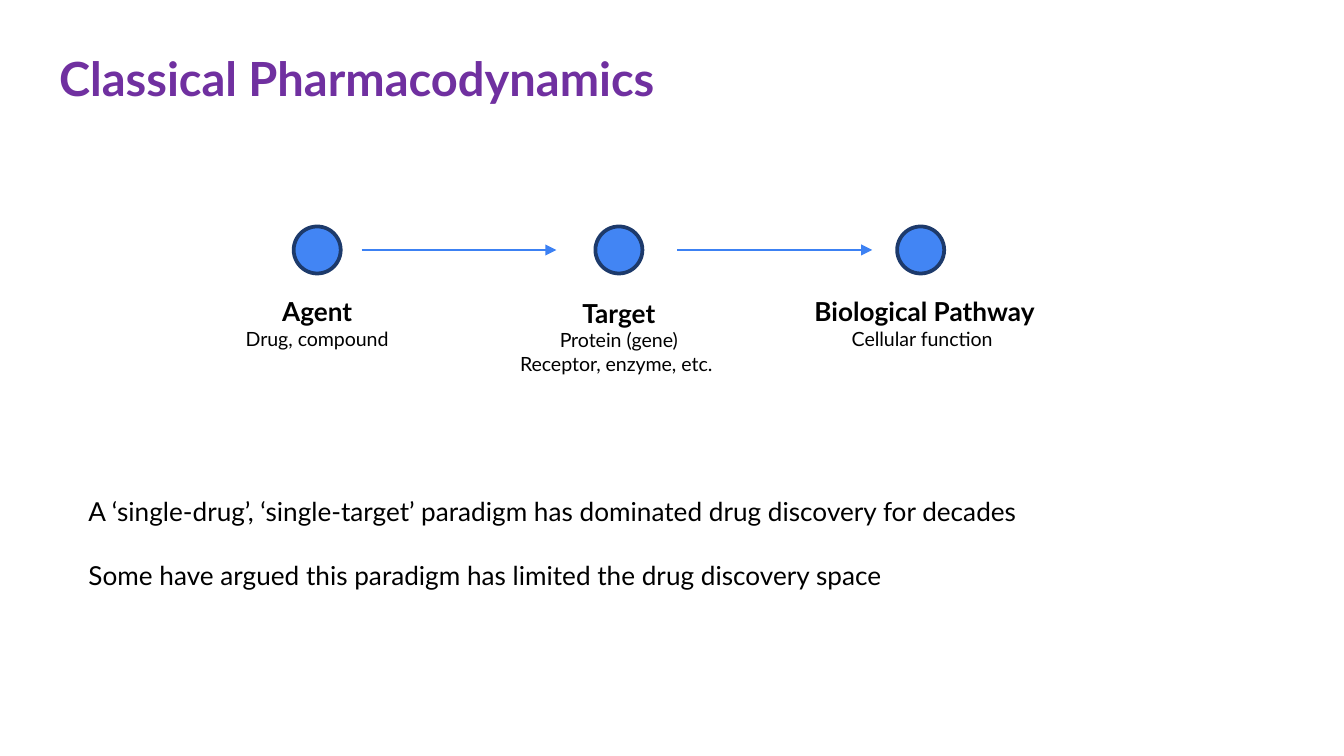
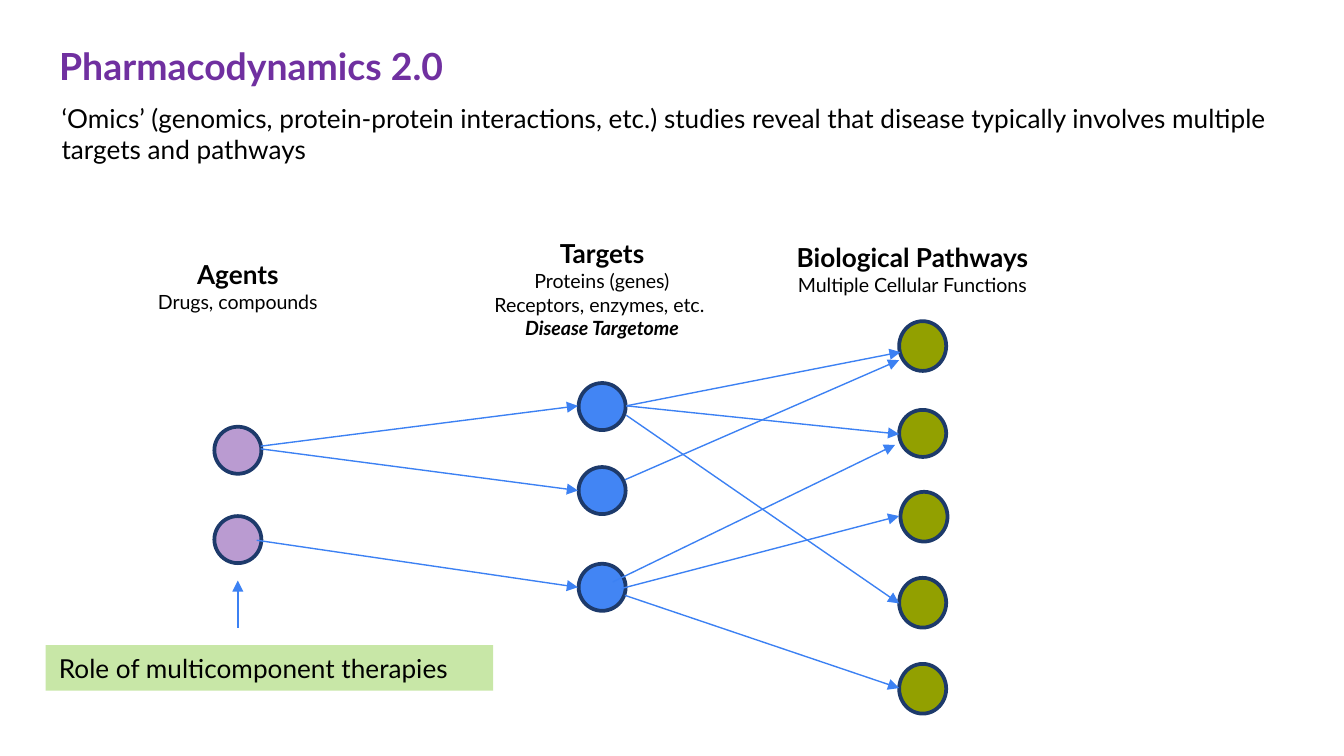
import pptx
import pptx.dml.color
import pptx.enum.shapes
import pptx.enum.text
import pptx.oxml
import pptx.oxml.ns
import pptx.util

COLOURS = {"title": "7030A0", "text": "000000", "arrow": "3C81F3", "outline": "1D3A6B",
           "agent": "7030A0", "target": "4285F4", "pathway": "92A000", "callout": "92D050"}
OPACITY = {"agent": 48, "callout": 50}  # percent, for the see-through fills
FONT = "Lato"
HEADING, DETAIL = 14, 10.5
SHAPES = pptx.enum.shapes.MSO_SHAPE
LEFT, CENTER = pptx.enum.text.PP_ALIGN.LEFT, pptx.enum.text.PP_ALIGN.CENTER

deck = pptx.Presentation()
deck.slide_width = pptx.util.Inches(10)
deck.slide_height = deck.slide_width * 9 // 16
CELL = deck.slide_width // 100  # square grid, 100 columns across the slide
DISC = 3.5                      # disc diameter in cells
MIDLINE = 18.6                  # row of the single-target chain


def fill_shape(slide, preset, box, colour):
    shape = slide.shapes.add_shape(preset, *[round(v * CELL) for v in box])
    shape.shadow.inherit = False
    shape.fill.solid()
    shape.fill.fore_color.rgb = pptx.dml.color.RGBColor.from_string(COLOURS[colour])
    if colour in OPACITY:
        tint = shape.fill._xPr.find(".//" + pptx.oxml.ns.qn("a:srgbClr"))
        alpha = pptx.oxml.parse_xml(f'<a:alpha {pptx.oxml.ns.nsdecls("a")} val="{OPACITY[colour] * 1000}"/>')
        tint.append(alpha)
    return shape


def write(frame, lines, align=LEFT, colour="text", gap=0):
    """Each line is (text, size, style); style holds b for bold and i for italic."""
    frame.word_wrap = True
    for number, (text, size, style) in enumerate(lines):
        paragraph = frame.paragraphs[0] if number == 0 else frame.add_paragraph()
        paragraph.text = text
        paragraph.alignment = align
        paragraph.space_before = pptx.util.Pt(gap if number else 0)
        font = paragraph.font
        font.name, font.size = FONT, pptx.util.Pt(size)
        font.bold, font.italic = "b" in style, "i" in style
        font.color.rgb = pptx.dml.color.RGBColor.from_string(COLOURS[colour])


# Content: discs are (role, left, top, height), arrows are (x1, y1, x2, y2),
# labels are (box, heading, details), statements are (box, texts)
classical = {
    "title": ("Classical Pharmacodynamics", 25.2, 2.7),
    "discs": [("target", 21.85 + 22.45 * n, MIDLINE - DISC / 2, DISC) for n in range(3)],
    "arrows": [(x, MIDLINE, x + 14.5, MIDLINE) for x in (26.9, 50.4)],
    "labels": [
        ((16.7, 21.5, 13.8, 5.1), "Agent", [("Drug, compound", DETAIL, "")]),
        ((37.4, 21.6, 17.3, 6.9), "Target",
         [("Protein (gene)", DETAIL, ""), ("Receptor, enzyme, etc. ", DETAIL, "")]),
        ((59.2, 21.5, 19.2, 5.1), "Biological Pathway", [("Cellular function ", DETAIL, "")]),
    ],
    "statements": ((5.6, 36.4, 88.8, 10.4), [
        "A ‘single-drug’, ‘single-target’ paradigm has dominated drug discovery for decades",
        "Some have argued this paradigm has limited the drug discovery space"]),
}
network = {
    "title": ("Pharmacodynamics 2.0", 20, 2.2),
    "discs": [("agent", 15.95, y, DISC) for y in (31.75, 38.4)]
             + [("target", 43.05, y, DISC) for y in (28.5, 34.75, 41.95)]
             + [("pathway", x, y, h) for x, y, h in (
                 (66.9, 23.9, 3.7), (66.9, 30.5, DISC), (67, 36.6, 3.7),
                 (66.9, 43, 3.7), (66.9, 49.4, 3.7))],
    "arrows": [
        # agents to targets
        (19.4, 33.2, 43, 30.2), (19.4, 33.4, 43, 36.5), (19.1, 40.2, 43, 43.7),
        # targets to pathways
        (46.6, 30.2, 67, 26.2), (46.6, 30.2, 66.9, 32.3), (46.6, 30.9, 66.9, 44.9),
        (46.5, 35.7, 66.9, 26.8),
        (45.6, 43.3, 66.6, 33.1), (46.2, 43.8, 66.9, 38.4), (46.5, 44.3, 66.9, 51.2),
        # callout to agents
        (17.7, 46.7, 17.7, 43.2)],
    "labels": [
        ((10.05, 18.75, 15.3, 5.1), "Agents", [("Drugs, compounds", DETAIL, "")]),
        ((35.45, 17.2, 18.7, 8.7), "Targets",
         [("Proteins (genes)", DETAIL, ""), ("Receptors, enzymes, etc. ", DETAIL, ""),
          ("Disease Targetome", DETAIL, "bi")]),
        ((57.1, 17.45, 21.6, 5.1), "Biological Pathways",
         [("Multiple Cellular Functions", DETAIL, "")]),
    ],
    "statements": ((3.6, 7.1, 94.1, 5.7), [
        "‘Omics’ (genomics, protein-protein interactions, etc.) studies reveal that disease "
        "typically involves multiple targets and pathways"]),
}

for content in (classical, network):
    slide = deck.slides.add_slide(deck.slide_layouts[5])

    # Title
    heading, size, top = content["title"]
    title = slide.shapes.title
    title.left, title.top, title.width, title.height = [
        round(v * CELL) for v in (3.4, top, 93.2, 6.3)]
    frame = title.text_frame
    frame.auto_size = pptx.enum.text.MSO_AUTO_SIZE.NONE
    frame.vertical_anchor = pptx.enum.text.MSO_ANCHOR.TOP
    frame.margin_left = frame.margin_right = frame.margin_top = frame.margin_bottom = CELL
    write(frame, [(heading, size, "b")], colour="title")

    # Discs
    for role, left, top, height in content["discs"]:
        disc = fill_shape(slide, SHAPES.OVAL, (left, top, DISC, height), role)
        disc.line.color.rgb = pptx.dml.color.RGBColor.from_string(COLOURS["outline"])
        disc.line.width = pptx.util.Pt(2)

    # Arrows
    for ends in content["arrows"]:
        arrow = slide.shapes.add_connector(
            pptx.enum.shapes.MSO_CONNECTOR.STRAIGHT, *[round(v * CELL) for v in ends])
        arrow.line.color.rgb = pptx.dml.color.RGBColor.from_string(COLOURS["arrow"])
        arrow.line.width = pptx.util.Pt(0.75)
        namespace = pptx.oxml.ns.nsdecls("a")
        arrow.line._get_or_add_ln().append(
            pptx.oxml.parse_xml(f'<a:tailEnd {namespace} type="triangle"/>'))
        arrow._element.spPr.append(pptx.oxml.parse_xml(f"<a:effectLst {namespace}/>"))

    # Labels of the three stages
    for box, stage, details in content["labels"]:
        label = slide.shapes.add_textbox(*[round(v * CELL) for v in box])
        write(label.text_frame, [(stage, HEADING, "b")] + details, CENTER)

    # Statements
    box, texts = content["statements"]
    statements = slide.shapes.add_textbox(*[round(v * CELL) for v in box])
    write(statements.text_frame, [(text, HEADING, "") for text in texts], gap=17)

# Callout under the agents of the network
therapies = fill_shape(slide, SHAPES.RECTANGLE, (3.4, 48, 33.3, 3.4), "callout")
therapies.line.fill.background()
write(therapies.text_frame, [("Role of multicomponent therapies", HEADING, "")])

deck.save("out.pptx")
